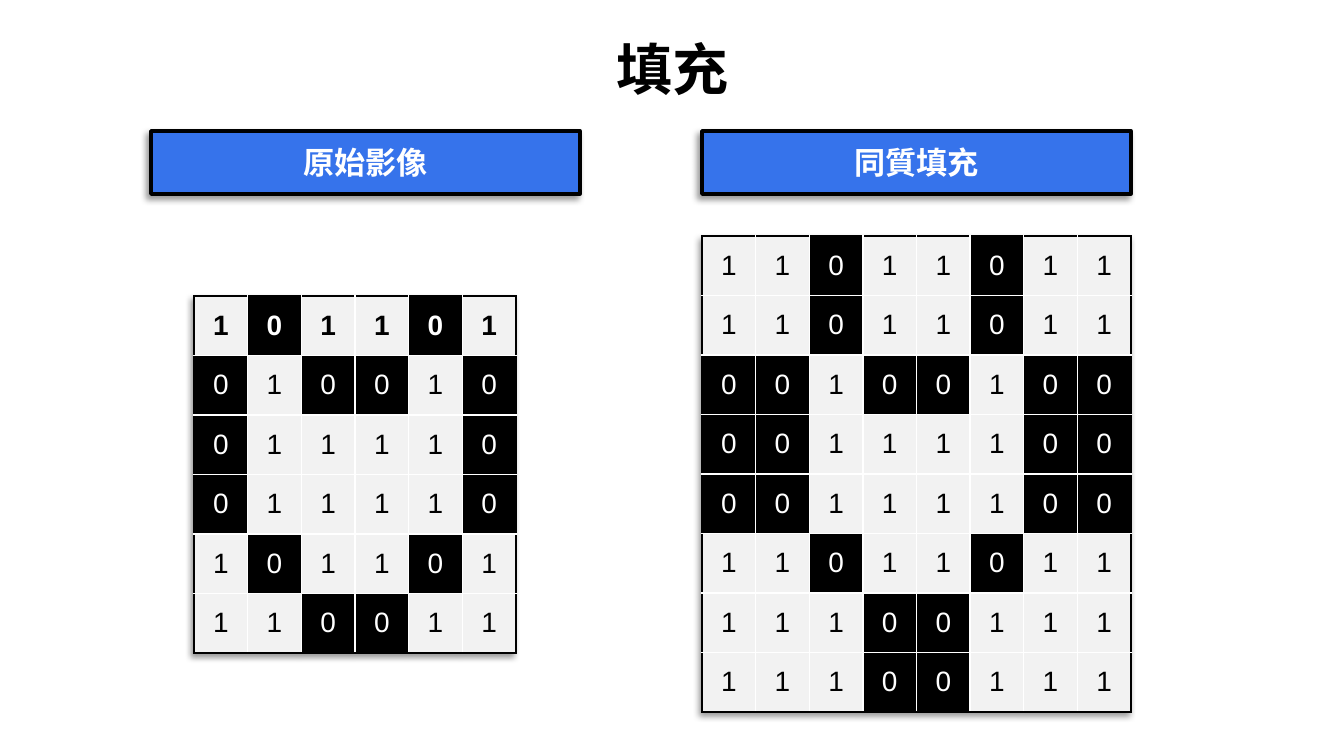
from dataclasses import dataclass

from lxml.etree import SubElement
from pptx import Presentation
from pptx.dml.color import RGBColor
from pptx.enum.shapes import MSO_SHAPE
from pptx.enum.text import MSO_ANCHOR, PP_ALIGN
from pptx.oxml import parse_xml
from pptx.oxml.ns import nsdecls, qn
from pptx.slide import Slide
from pptx.table import _Cell
from pptx.text.text import TextFrame
from pptx.util import Emu, Pt

EMU_PER_PX = 914400 / 112
COLORS = {
    "ink": "000000",
    "paper": "FFFFFF",
    "banner": "3673EB",
    "light": "F2F2F2",
}


@dataclass(frozen=True)
class Box:
    left: int
    top: int
    width: int
    height: int

    def emu(self) -> tuple[Emu, Emu, Emu, Emu]:
        return px(self.left), px(self.top), px(self.width), px(self.height)


@dataclass(frozen=True)
class Panel:
    heading: str
    banner: Box
    grid: Box
    rows: tuple[str, ...]
    bold_first_row: bool = False


TITLE_BOX = Box(62, 35, 1222, 73)
PANELS = (
    Panel(
        "原始影像",
        Box(151, 131, 429, 63),
        Box(194, 296, 322, 357),
        ("101101", "010010", "011110", "011110", "101101", "110011"),
        bold_first_row=True,
    ),
    Panel(
        "同質填充",
        Box(702, 131, 429, 63),
        Box(702, 236, 429, 476),
        (
            "11011011", "11011011", "00100100", "00111100",
            "00111100", "11011011", "11100111", "11100111",
        ),
    ),
)


def px(length: int) -> Emu:
    return Emu(round(length * EMU_PER_PX))


def rgb(name: str) -> RGBColor:
    return RGBColor.from_string(COLORS[name])


def write_text(
    frame: TextFrame,
    text: str,
    *,
    size: int,
    color: str,
    font: str = "Cabin",
    bold: bool = False,
    spacing: float = 1.0,
) -> None:
    para = frame.paragraphs[0]
    para.alignment = PP_ALIGN.CENTER
    para.line_spacing = spacing
    span = para.add_run()
    span.text = text
    span.font.size = Pt(size)
    span.font.name = font
    span.font.bold = bold
    span.font.color.rgb = rgb(color)


def shadow_effect():
    return parse_xml(
        f'<a:effectLst {nsdecls("a")}>'
        f'<a:outerShdw blurRad="{Pt(4)}" dist="{Pt(3)}" dir="8100000" '
        'algn="tr" rotWithShape="0">'
        f'<a:srgbClr val="{COLORS["ink"]}"><a:alpha val="40000"/></a:srgbClr>'
        "</a:outerShdw></a:effectLst>"
    )


def draw_title(page: Slide, text: str) -> None:
    title = page.shapes.title
    title.left, title.top, title.width, title.height = TITLE_BOX.emu()
    title.text_frame.vertical_anchor = MSO_ANCHOR.BOTTOM
    write_text(title.text_frame, text, size=36, color="ink", bold=True, spacing=0.9)


def draw_banner(page: Slide, box: Box, heading: str) -> None:
    banner = page.shapes.add_shape(MSO_SHAPE.RECTANGLE, *box.emu())
    banner.fill.solid()
    banner.fill.fore_color.rgb = rgb("banner")
    banner.line.color.rgb = rgb("ink")
    banner.line.width = Pt(2.25)
    banner._element.spPr.append(shadow_effect())
    banner.text_frame.vertical_anchor = MSO_ANCHOR.MIDDLE
    write_text(banner.text_frame, heading, size=20, color="paper", bold=True)


def set_borders(cell: _Cell, outer_edges: dict[str, bool]) -> None:
    properties = cell._tc.get_or_add_tcPr()
    for edge, is_outer in outer_edges.items():
        line = SubElement(properties, qn(f"a:{edge}"), w=str(Pt(1)))
        fill = SubElement(line, qn("a:solidFill"))
        SubElement(fill, qn("a:srgbClr"), val=COLORS["ink" if is_outer else "paper"])


def draw_grid(page: Slide, panel: Panel) -> None:
    row_count, column_count = len(panel.rows), len(panel.rows[0])
    frame = page.shapes.add_table(row_count, column_count, *panel.grid.emu())
    table = frame.table
    table.first_row = False
    table.horz_banding = False
    table._tbl.tblPr.insert(0, shadow_effect())
    for row, digits in enumerate(panel.rows):
        for column, digit in enumerate(digits):
            cell = table.cell(row, column)
            set_borders(cell, {
                "lnL": column == 0,
                "lnR": column == column_count - 1,
                "lnT": row == 0,
                "lnB": row == row_count - 1,
            })
            cell.fill.solid()
            cell.fill.fore_color.rgb = rgb("light" if digit == "1" else "ink")
            cell.vertical_anchor = MSO_ANCHOR.MIDDLE
            write_text(
                cell.text_frame,
                digit,
                size=18,
                font="Arial",
                color="ink" if digit == "1" else "paper",
                bold=panel.bold_first_row and row == 0,
            )


def main() -> None:
    deck = Presentation()
    deck.slide_width, deck.slide_height = px(1344), px(756)
    page = deck.slides.add_slide(deck.slide_layouts[5])
    draw_title(page, "填充")
    for panel in PANELS:
        draw_banner(page, panel.banner, panel.heading)
        draw_grid(page, panel)
    deck.save("out.pptx")


if __name__ == "__main__":
    main()
